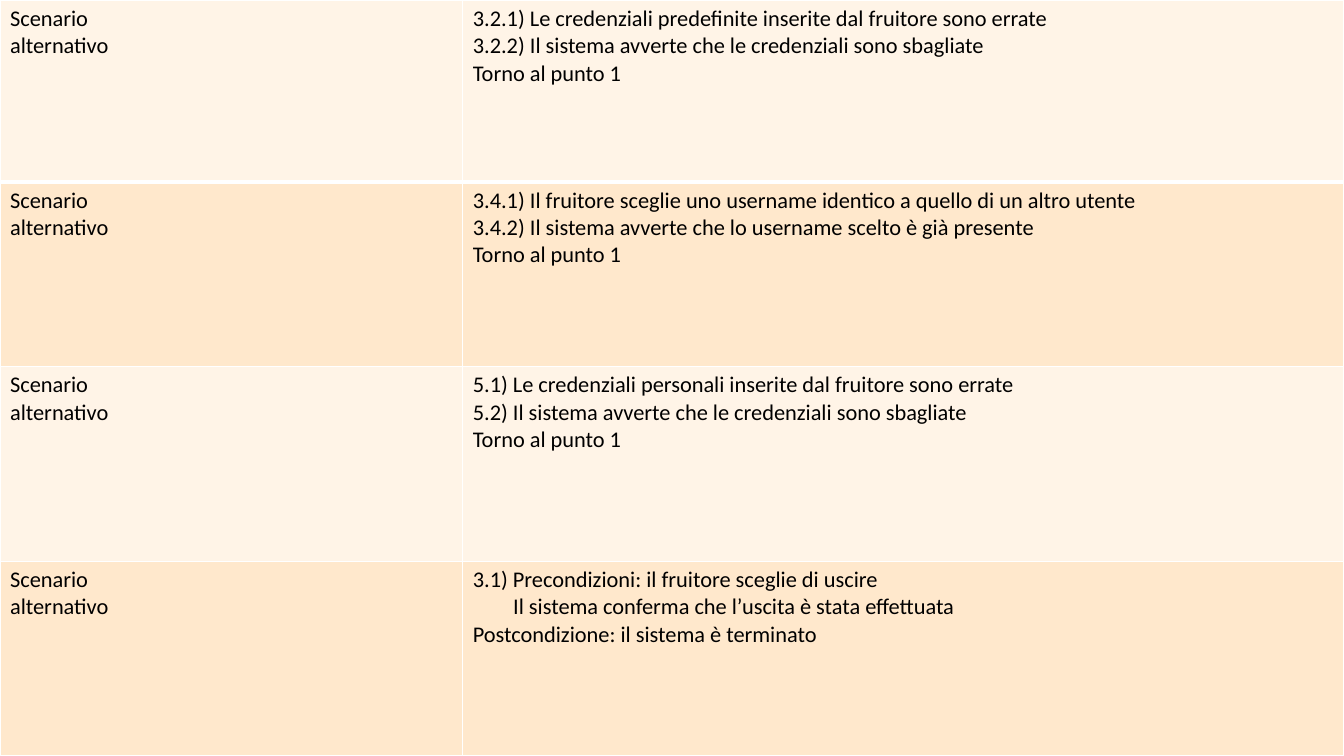
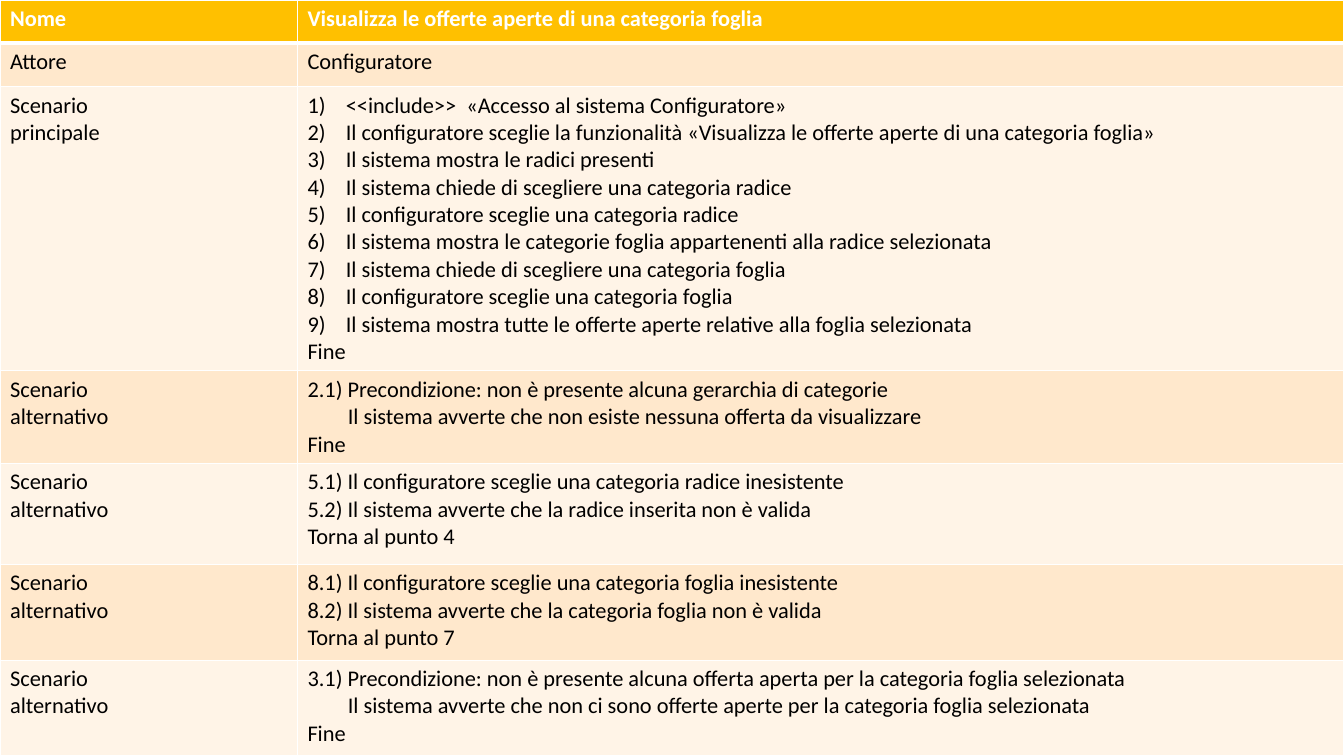
"""Build two slides of use-case tables in a shared amber style."""
from dataclasses import dataclass
from enum import Enum

from lxml import etree
from pptx import Presentation
from pptx.dml.color import RGBColor
from pptx.oxml.ns import qn
from pptx.slide import Slide
from pptx.table import _Cell
from pptx.text.text import _Paragraph
from pptx.util import Inches, Pt


@dataclass(frozen=True)
class Theme:
    """Colours, type and line widths shared by the slides."""
    font: str = "Calibri"
    size: int = 16
    ink: str = "000000"
    white: str = "FFFFFF"
    header: str = "FFC000"
    light: str = "FFF4E7"
    dark: str = "FFE8CC"
    rule: int = 1
    heavy_rule: int = 3


class Kind(Enum):
    """Paragraph layouts as left margin and first-line indent in inches."""
    PLAIN = (0, 0)
    STEP = (0.38, -0.38)
    CONTINUED = (0.4, 0)


@dataclass(frozen=True)
class Line:
    """One paragraph of a cell."""
    text: str
    kind: Kind = Kind.PLAIN


@dataclass(frozen=True)
class Row:
    """A labelled table row with its relative height."""
    height: float
    label: str
    lines: list[Line]
    header: bool = False


@dataclass(frozen=True)
class UseCase:
    """A full-slide table with relative column widths."""
    columns: tuple[float, float]
    rows: list[Row]


THEME = Theme()
WIDTH, HEIGHT = Inches(13.33), Inches(7.5)
BLANK_LAYOUT = 6
ALTERNATIVE = "Scenario\nalternativo"


def plain(*texts: str) -> list[Line]:
    """Return unindented lines."""
    return [Line(t) for t in texts]


def steps(*texts: str) -> list[Line]:
    """Return automatically numbered lines."""
    return [Line(t, Kind.STEP) for t in texts]


def condition(first: str, outcome: str, end: str) -> list[Line]:
    """Return a precondition, its indented outcome and the ending."""
    return [Line(first), Line(outcome, Kind.CONTINUED), Line(end)]


USE_CASES = [
    UseCase((4.59, 8.74), [
        Row(1.8, ALTERNATIVE, plain(
            "3.2.1) Le credenziali predefinite inserite dal fruitore sono errate",
            "3.2.2) Il sistema avverte che le credenziali sono sbagliate",
            "Torno al punto 1")),
        Row(1.83, ALTERNATIVE, plain(
            "3.4.1) Il fruitore sceglie uno username identico a quello di un altro utente",
            "3.4.2) Il sistema avverte che lo username scelto è già presente",
            "Torno al punto 1")),
        Row(1.93, ALTERNATIVE, plain(
            "5.1) Le credenziali personali inserite dal fruitore sono errate",
            "5.2) Il sistema avverte che le credenziali sono sbagliate",
            "Torno al punto 1")),
        Row(1.93, ALTERNATIVE, condition(
            "3.1) Precondizioni: il fruitore sceglie di uscire",
            "Il sistema conferma che l’uscita è stata effettuata",
            "Postcondizione: il sistema è terminato")),
    ]),
    UseCase((2.95, 10.38), [
        Row(0.43, "Nome", plain("Visualizza le offerte aperte di una categoria foglia"), header=True),
        Row(0.43, "Attore", plain("Configuratore")),
        Row(2.82, "Scenario\nprincipale", steps(
            "<<include>>  «Accesso al sistema Configuratore»",
            "Il configuratore sceglie la funzionalità «Visualizza le offerte aperte di una categoria foglia»",
            "Il sistema mostra le radici presenti",
            "Il sistema chiede di scegliere una categoria radice",
            "Il configuratore sceglie una categoria radice",
            "Il sistema mostra le categorie foglia appartenenti alla radice selezionata",
            "Il sistema chiede di scegliere una categoria foglia",
            "Il configuratore sceglie una categoria foglia",
            "Il sistema mostra tutte le offerte aperte relative alla foglia selezionata",
        ) + plain("Fine")),
        Row(0.92, ALTERNATIVE, condition(
            "2.1) Precondizione: non è presente alcuna gerarchia di categorie",
            "Il sistema avverte che non esiste nessuna offerta da visualizzare",
            "Fine")),
        Row(1, ALTERNATIVE, plain(
            "5.1) Il configuratore sceglie una categoria radice inesistente",
            "5.2) Il sistema avverte che la radice inserita non è valida",
            "Torna al punto 4")),
        Row(0.95, ALTERNATIVE, plain(
            "8.1) Il configuratore sceglie una categoria foglia inesistente",
            "8.2) Il sistema avverte che la categoria foglia non è valida",
            "Torna al punto 7")),
        Row(0.95, ALTERNATIVE, condition(
            "3.1) Precondizione: non è presente alcuna offerta aperta per la categoria foglia selezionata",
            "Il sistema avverte che non ci sono offerte aperte per la categoria foglia selezionata",
            "Fine")),
    ]),
]


def shares(weights: list[float], total: int) -> list[int]:
    """Split a length in proportion to the weights."""
    return [round(total * w / sum(weights)) for w in weights]


def write_line(p: _Paragraph, line: Line, header: bool) -> None:
    """Write one formatted paragraph."""
    r = p.add_run()
    r.text = line.text
    font_format = {"name": THEME.font, "size": Pt(THEME.size), "bold": header}
    for name, value in font_format.items():
        setattr(r.font, name, value)
    r.font.color.rgb = RGBColor.from_string(THEME.white if header else THEME.ink)
    if line.kind is Kind.PLAIN:
        return
    pPr = p._p.get_or_add_pPr()
    for name, value in zip(("marL", "indent"), line.kind.value):
        pPr.set(name, str(Inches(value)))
    if line.kind is Kind.STEP:
        etree.SubElement(pPr, qn("a:buFont"), typeface="+mj-lt")
        etree.SubElement(pPr, qn("a:buAutoNum"), type="arabicParenR")


def set_borders(cell: _Cell, row_index: int) -> None:
    """Rule the cell in white, with a heavy line under the first row."""
    widths = {
        "a:lnL": THEME.rule,
        "a:lnR": THEME.rule,
        "a:lnT": THEME.heavy_rule if row_index == 1 else THEME.rule,
        "a:lnB": THEME.heavy_rule if row_index == 0 else THEME.rule,
    }
    tcPr = cell._tc.get_or_add_tcPr()
    for position, (tag, width) in enumerate(widths.items()):
        ln = etree.Element(qn(tag), w=str(Pt(width)))
        fill = etree.SubElement(ln, qn("a:solidFill"))
        etree.SubElement(fill, qn("a:srgbClr"), val=THEME.white)
        tcPr.insert(position, ln)


def fill_cell(cell: _Cell, lines: list[Line], colour: str, header: bool) -> None:
    """Colour a cell and write its lines."""
    cell.fill.solid()
    cell.fill.fore_color.rgb = RGBColor.from_string(colour)
    tf = cell.text_frame
    for i, line in enumerate(lines):
        write_line(tf.add_paragraph() if i else tf.paragraphs[0], line, header)


def draw_use_case(s: Slide, case: UseCase) -> None:
    """Draw a use-case table over the whole slide."""
    table = s.shapes.add_table(len(case.rows), len(case.columns), 0, 0, WIDTH, HEIGHT).table
    for name in ("first_row", "horz_banding"):
        setattr(table, name, False)
    for column, width in zip(table.columns, shares(list(case.columns), WIDTH)):
        column.width = width
    heights = shares([row.height for row in case.rows], HEIGHT)
    bands = (THEME.light, THEME.dark)
    for i, (row, height) in enumerate(zip(case.rows, heights)):
        table.rows[i].height = height
        colour = THEME.header if row.header else bands[i % 2]
        for j, lines in enumerate((plain(*row.label.split("\n")), row.lines)):
            cell = table.cell(i, j)
            fill_cell(cell, lines, colour, row.header)
            set_borders(cell, i)


def main() -> None:
    """Build and save the presentation."""
    prs = Presentation()
    prs.slide_width, prs.slide_height = WIDTH, HEIGHT
    for case in USE_CASES:
        draw_use_case(prs.slides.add_slide(prs.slide_layouts[BLANK_LAYOUT]), case)
    prs.save("out.pptx")


if __name__ == "__main__":
    main()
